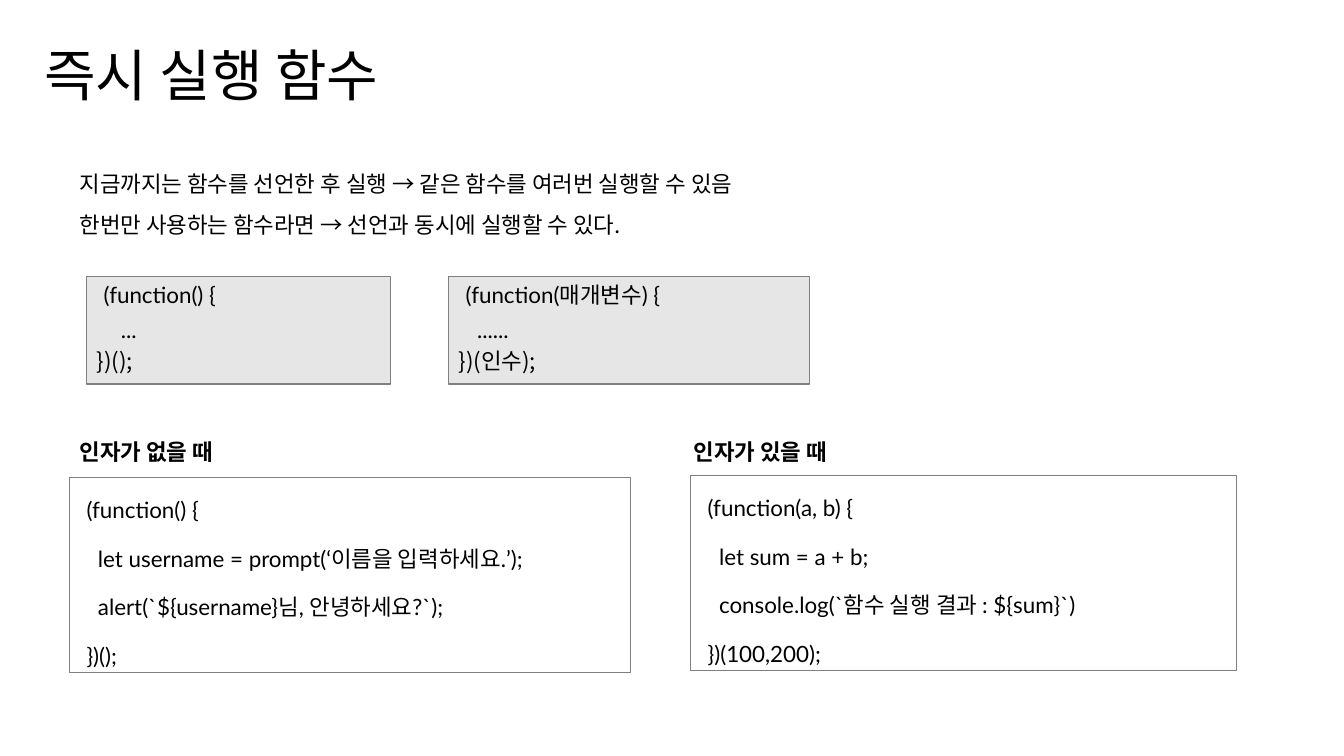
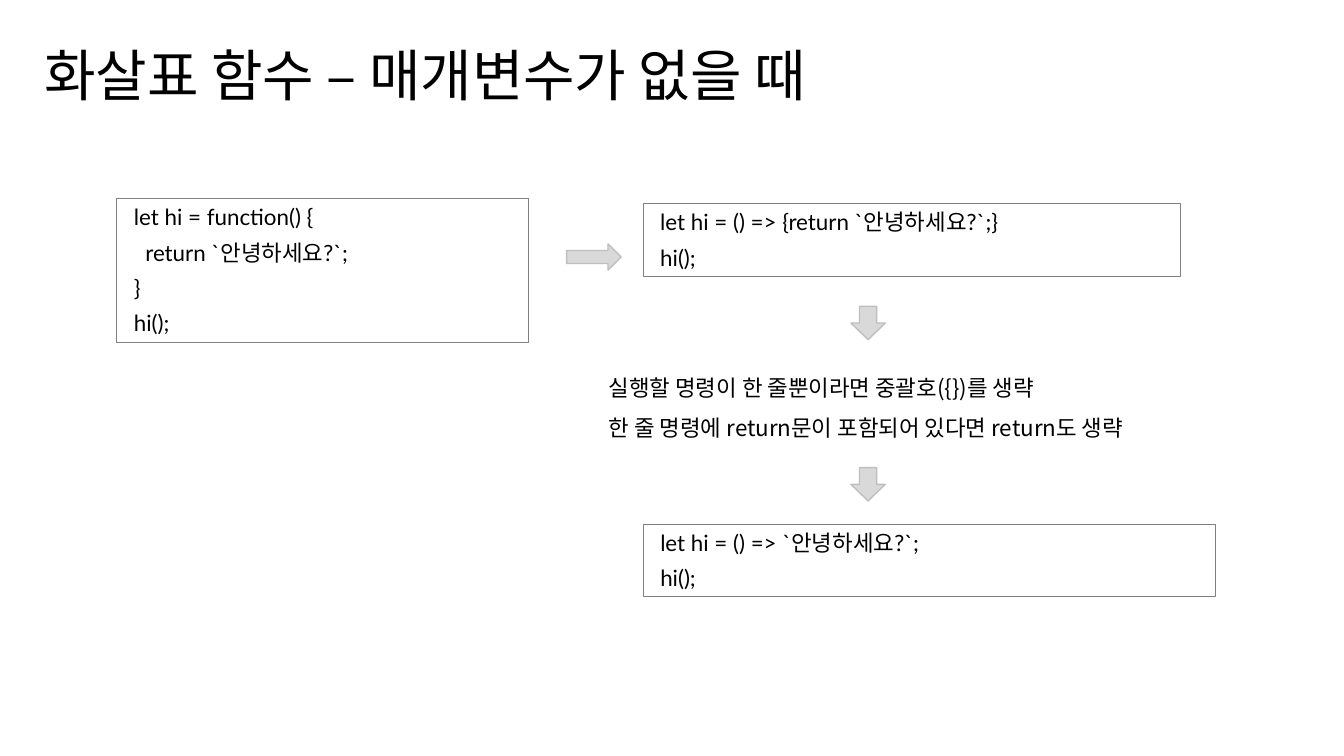
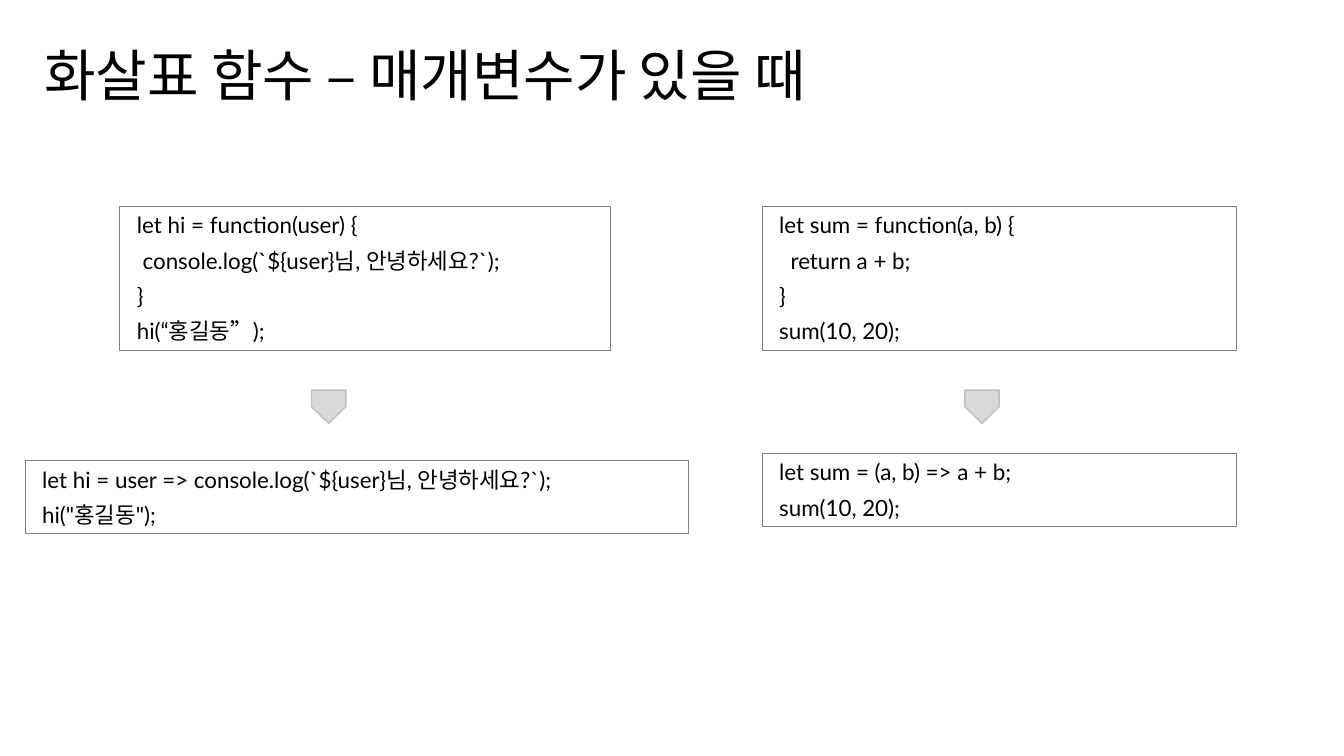
from dataclasses import dataclass
from typing import NamedTuple

from lxml.etree import SubElement
from pptx import Presentation
from pptx.dml.color import RGBColor
from pptx.enum.shapes import MSO_SHAPE
from pptx.enum.text import MSO_ANCHOR, MSO_AUTO_SIZE, PP_ALIGN
from pptx.oxml.ns import qn
from pptx.util import Inches, Pt

COLORS = {
    "ink": "000000",
    "code": "E7E6E6",
    "edge": "808080",
    "arrow": "D9D9D9",
    "rim": "BFBFBF",
}
SANS = "Noto Sans CJK KR"
LATO = "Lato"
INDENT = Inches(0.07)
GAP = Pt(3)


class Area(NamedTuple):
    left: float
    top: float
    width: float
    height: float

    def lengths(self):
        return [Inches(side) for side in self]


@dataclass
class Note:
    area: Area
    lines: list[str]
    size: int = 16
    bold: bool = False
    space: float = 1.0


@dataclass
class Code:
    area: Area
    lines: list[str]
    space: float = 1.0
    fill: str | None = None
    tail: str | None = None  # closing line, set flush left in SANS


@dataclass
class Arrow:
    area: Area
    kind: MSO_SHAPE = MSO_SHAPE.DOWN_ARROW
    stem: float = 0.5


@dataclass
class Page:
    title: str
    width: float
    blocks: list[Note | Code | Arrow]


def color(name: str) -> RGBColor:
    return RGBColor.from_string(COLORS[name])


def style(para, text: str, face: str, size: int = 16,
          bold: bool = False, space: float = 1.0) -> None:
    para.text = text
    para.alignment = PP_ALIGN.LEFT
    para.line_spacing = space
    font = para.font
    font.name, font.size, font.bold = face, Pt(size), bold
    font.color.rgb = color("ink")
    # Hangul uses the East Asian face
    props = para._p.get_or_add_pPr().find(qn("a:defRPr"))
    SubElement(props, qn("a:ea"), typeface=SANS)


def setup(frame) -> None:
    frame.word_wrap = True
    frame.vertical_anchor = MSO_ANCHOR.TOP
    frame.auto_size = MSO_AUTO_SIZE.SHAPE_TO_FIT_TEXT


def next_para(frame, index: int):
    return frame.add_paragraph() if index else frame.paragraphs[0]


def add_note(slide, note: Note) -> None:
    frame = slide.shapes.add_textbox(*note.area.lengths()).text_frame
    setup(frame)
    for index, line in enumerate(note.lines):
        style(next_para(frame, index), line, SANS, note.size, note.bold, note.space)


def add_box(slide, kind: MSO_SHAPE, area: Area, fill: str | None,
            edge: str, weight: float):
    shape = slide.shapes.add_shape(kind, *area.lengths())
    shape.shadow.inherit = False
    if fill:
        shape.fill.solid()
        shape.fill.fore_color.rgb = color(fill)
    else:
        shape.fill.background()
    shape.line.color.rgb = color(edge)
    shape.line.width = Pt(weight)
    return shape


def add_code(slide, code: Code) -> None:
    box = add_box(slide, MSO_SHAPE.RECTANGLE, code.area, code.fill, "edge", 0.75)
    frame = box.text_frame
    setup(frame)
    for index, line in enumerate(code.lines):
        para = next_para(frame, index)
        style(para, line, LATO, space=code.space)
        para._p.get_or_add_pPr().set("marL", str(INDENT))
        para.space_before = GAP if index else Pt(0)
        para.space_after = GAP
    if code.tail:
        style(frame.add_paragraph(), code.tail, SANS)


def add_arrow(slide, arrow: Arrow) -> None:
    shape = add_box(slide, arrow.kind, arrow.area, "arrow", "rim", 1)
    shape.adjustments[0] = arrow.stem


def down(left: float, top: float, stem: float = 0.5) -> Arrow:
    return Arrow(Area(left, top, 0.34, 0.33), stem=stem)


DRAW = {Note: add_note, Code: add_code, Arrow: add_arrow}

PAGES = [
    # Functions that run at once
    Page("즉시 실행 함수", 6.56, [
        Note(Area(0.69, 1.51, 8.22, 0.86), [
            "지금까지는 함수를 선언한 후 실행 → 같은 함수를 여러번 실행할 수 있음",
            "한번만 사용하는 함수라면 → 선언과 동시에 실행할 수 있다.",
        ], space=1.5),
        Code(Area(0.86, 2.74, 3.01, 1.07), ["(function() {", "   ..."],
             fill="code", tail="})();"),
        Code(Area(4.45, 2.74, 3.58, 1.07), ["(function(매개변수) {", "  ......"],
             fill="code", tail="})(인수);"),
        Code(Area(0.69, 4.74, 5.56, 1.93), [
            "(function() {",
            "  let username = prompt(‘이름을 입력하세요.’);",
            "  alert(`${username}님, 안녕하세요?`);",
            "})();",
        ], space=1.5),
        Code(Area(6.85, 4.72, 5.41, 1.93), [
            "(function(a, b) {",
            "  let sum = a + b;",
            "  console.log(`함수 실행 결과 : ${sum}`)",
            "})(100,200);",
        ], space=1.5),
        Note(Area(0.69, 4.3, 3.01, 0.37), ["인자가 없을 때"], bold=True),
        Note(Area(6.78, 4.3, 3.01, 0.37), ["인자가 있을 때"], bold=True),
    ]),
    # Arrow functions without parameters
    Page("화살표 함수 – 매개변수가 없을 때", 8.66, [
        Code(Area(1.16, 1.97, 4.08, 1.43), [
            "let hi = function() {",
            "  return `안녕하세요?`;",
            "}",
            "hi();",
        ]),
        Code(Area(6.38, 2.02, 5.33, 0.72),
             ["let hi = () => {return `안녕하세요?`;}", "hi();"]),
        Code(Area(6.38, 5.2, 5.68, 0.72),
             ["let hi = () => `안녕하세요?`;", "hi();"]),
        Note(Area(5.94, 3.53, 6.67, 0.86), [
            "실행할 명령이 한 줄뿐이라면 중괄호({})를 생략",
            "한 줄 명령에 return문이 포함되어 있다면 return도 생략",
        ], space=1.5),
        Arrow(Area(5.62, 2.42, 0.54, 0.26), MSO_SHAPE.RIGHT_ARROW),
        down(8.44, 3.04),
        down(8.44, 4.64),
    ]),
    # Arrow functions with parameters
    Page("화살표 함수 – 매개변수가 있을 때", 8.08, [
        Code(Area(1.19, 2.05, 4.87, 1.43), [
            "let hi = function(user) {",
            " console.log(`${user}님, 안녕하세요?`);",
            "}",
            "hi(“홍길동”);",
        ]),
        down(3.09, 3.87, stem=1),
        Code(Area(0.25, 4.57, 6.58, 0.72), [
            "let hi = user => console.log(`${user}님, 안녕하세요?`);",
            'hi("홍길동");',
        ]),
        Code(Area(7.56, 2.05, 4.7, 1.43), [
            "let sum = function(a, b) {",
            "  return a + b;",
            "}",
            "sum(10, 20);",
        ]),
        down(9.57, 3.87, stem=1),
        Code(Area(7.56, 4.5, 4.7, 0.72),
             ["let sum = (a, b) => a + b;", "sum(10, 20);"]),
    ]),
]


def main() -> None:
    deck = Presentation()
    deck.slide_width, deck.slide_height = Inches(13.33), Inches(7.5)
    blank = deck.slide_layouts[6]
    for page in PAGES:
        slide = deck.slides.add_slide(blank)
        for block in page.blocks:
            DRAW[type(block)](slide, block)
        add_note(slide, Note(Area(0.34, 0.35, page.width, 0.77), [page.title], size=40))
    deck.save("out.pptx")


if __name__ == "__main__":
    main()
